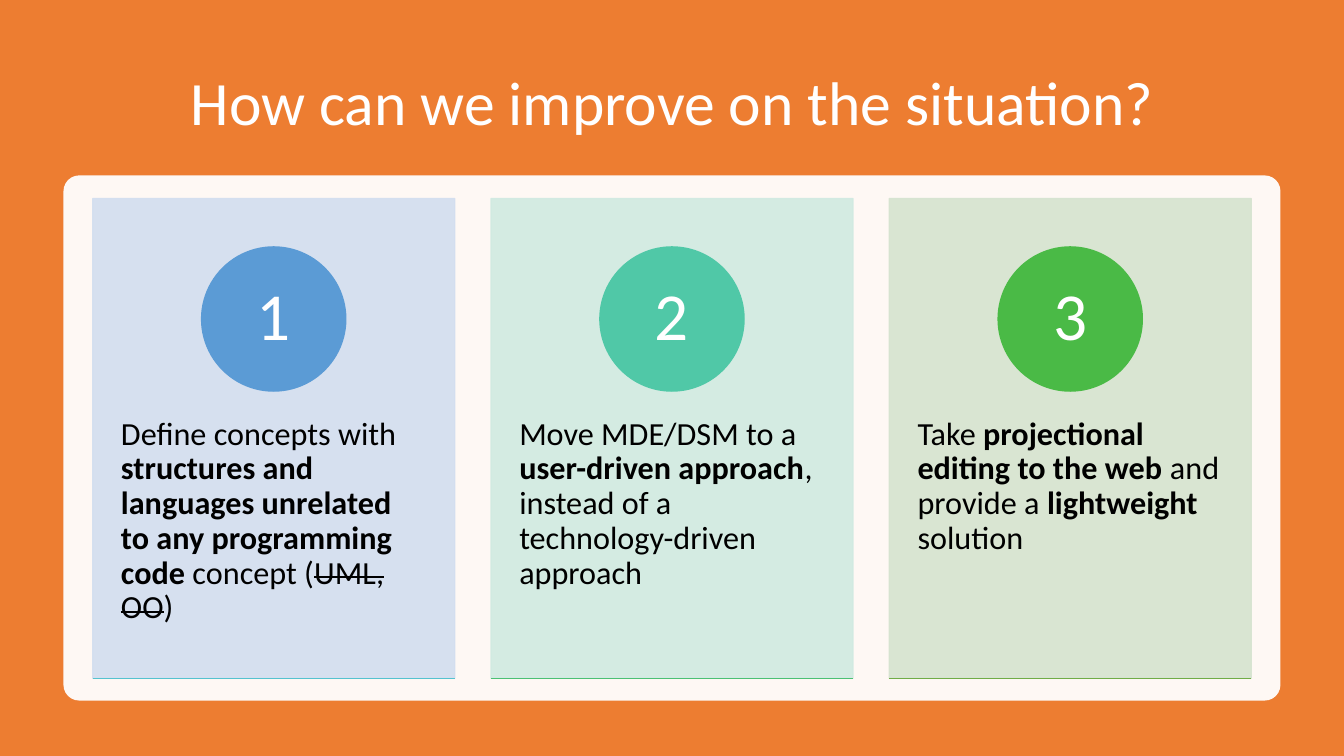
from dataclasses import dataclass

from lxml import etree
from pptx import Presentation
from pptx.dml.color import RGBColor
from pptx.enum.shapes import MSO_CONNECTOR, MSO_SHAPE
from pptx.enum.text import MSO_ANCHOR, PP_ALIGN
from pptx.oxml.ns import qn
from pptx.util import Inches, Pt

RECTANGLE, ROUNDED, OVAL = MSO_SHAPE.RECTANGLE, MSO_SHAPE.ROUNDED_RECTANGLE, MSO_SHAPE.OVAL
STRAIGHT = MSO_CONNECTOR.STRAIGHT
TOP, MIDDLE = MSO_ANCHOR.TOP, MSO_ANCHOR.MIDDLE
LEFT, CENTER = PP_ALIGN.LEFT, PP_ALIGN.CENTER


@dataclass(frozen=True)
class Theme:
    """Colours and type sizes of the slide."""
    font: str = "Calibri"
    backdrop: str = "ED7D31"
    white: str = "FFFFFF"
    black: str = "000000"
    title_size: float = 44
    number_size: float = 48
    body_size: float = 23


@dataclass(frozen=True)
class Phrase:
    """A stretch of text with its emphasis."""
    text: str
    bold: bool = False
    struck: bool = False


@dataclass(frozen=True)
class Idea:
    """A numbered improvement with the colours of its card."""
    panel: str
    badge: str
    rule: str
    phrases: tuple[Phrase, ...]


THEME = Theme()
SLIDE_WIDTH, SLIDE_HEIGHT = 13.33, 7.5
CARD_LEFT, CARD_TOP, CARD_WIDTH, CARD_HEIGHT, CARD_STEP = 0.92, 1.97, 3.59, 4.76, 3.95
BADGE_TOP, BADGE_SIZE = 2.45, 1.43
BODY_TOP, BODY_HEIGHT = 3.78, 2.86

IDEAS = (
    Idea("D2DEEF", "5B9BD5", "55C3CF", (
        Phrase("Define concepts with "),
        Phrase("structures and languages unrelated to any programming code", bold=True),
        Phrase(" concept ("),
        Phrase("UML, OO", struck=True),
        Phrase(")"),
    )),
    Idea("D0EAE1", "50C8A7", "4BC174", (
        Phrase("Move MDE/DSM to a "),
        Phrase("user-driven approach", bold=True),
        Phrase(", instead of a technology-driven approach"),
    )),
    Idea("D5E3CF", "4ABA46", "70AD47", (
        Phrase("Take "),
        Phrase("projectional editing to the web", bold=True),
        Phrase(" and provide a "),
        Phrase("lightweight", bold=True),
        Phrase(" solution"),
    )),
)


def add_block(slide, kind, box: tuple, color: str, outlined: bool = False, opacity: int = 100):
    """Draw a filled shape, optionally outlined and translucent."""
    block = slide.shapes.add_shape(kind, *map(Inches, box))
    block.shadow.inherit = False
    block.fill.solid()
    block.fill.fore_color.rgb = RGBColor.from_string(color)
    if outlined:
        block.line.color.rgb = RGBColor.from_string(color)
        block.line.width = Pt(1)
    else:
        block.line.fill.background()
    if opacity < 100:
        for tint in block._element.spPr.iter(qn("a:srgbClr")):
            etree.SubElement(tint, qn("a:alpha"), val=str(opacity * 1000))
    return block


def write(holder, phrases: tuple[Phrase, ...], size: float, color: str, align=CENTER,
          anchor=MIDDLE, insets: tuple[float, float] = (0.1, 0.05)) -> None:
    """Fill a shape or text box with one paragraph of phrases."""
    frame = holder.text_frame
    frame.word_wrap = True
    frame.vertical_anchor = anchor
    frame.margin_left = frame.margin_right = Inches(insets[0])
    frame.margin_top = frame.margin_bottom = Inches(insets[1])
    paragraph = frame.paragraphs[0]
    paragraph.alignment = align
    paragraph.line_spacing = 0.9
    paragraph.font.name = THEME.font
    paragraph.font.size = Pt(size)
    paragraph.font.color.rgb = RGBColor.from_string(color)
    for phrase in phrases:
        run = paragraph.add_run()
        run.text = phrase.text
        if phrase.bold:
            run.font.bold = True
        if phrase.struck:
            run._r.get_or_add_rPr().set("strike", "sngStrike")


def add_rule(slide, left: float, top: float, width: float, color: str) -> None:
    """Draw a thin horizontal line."""
    rule = slide.shapes.add_connector(
        STRAIGHT, Inches(left), Inches(top), Inches(left + width), Inches(top))
    rule.line.color.rgb = RGBColor.from_string(color)
    rule.line.width = Pt(1)
    etree.SubElement(rule._element.spPr, qn("a:effectLst"))


def add_card(slide, number: int, idea: Idea) -> None:
    """Draw the card of one idea."""
    left = CARD_LEFT + (number - 1) * CARD_STEP
    add_block(slide, RECTANGLE, (left, CARD_TOP, CARD_WIDTH, CARD_HEIGHT),
              idea.panel, outlined=True, opacity=90)
    body = slide.shapes.add_textbox(
        *map(Inches, (left, BODY_TOP, CARD_WIDTH, BODY_HEIGHT)))
    write(body, idea.phrases, THEME.body_size, THEME.black, LEFT, TOP, (0.28, 0.36))
    badge_left = left + (CARD_WIDTH - BADGE_SIZE) / 2
    badge = add_block(slide, OVAL, (badge_left, BADGE_TOP, BADGE_SIZE, BADGE_SIZE),
                      idea.badge, outlined=True)
    write(badge, (Phrase(str(number)),), THEME.number_size, THEME.white, insets=(0.11, 0.01))
    add_rule(slide, left, CARD_TOP + CARD_HEIGHT, CARD_WIDTH, idea.rule)


def main() -> None:
    """Build and save the slide."""
    deck = Presentation()
    deck.slide_width, deck.slide_height = Inches(SLIDE_WIDTH), Inches(SLIDE_HEIGHT)
    slide = deck.slides.add_slide(deck.slide_layouts[6])
    add_block(slide, RECTANGLE, (0, 0, SLIDE_WIDTH, SLIDE_HEIGHT), THEME.backdrop)
    title = slide.shapes.add_textbox(*map(Inches, (0.92, 0.5, 11.5, 1.1)))
    write(title, (Phrase("How can we improve on the situation?"),),
          THEME.title_size, THEME.white)
    tray = add_block(slide, ROUNDED, (0.63, 1.74, 12.07, 5.21), THEME.white, opacity=95)
    tray.adjustments[0] = 0.03
    for number, idea in enumerate(IDEAS, start=1):
        add_card(slide, number, idea)
    deck.save("out.pptx")


if __name__ == "__main__":
    main()
